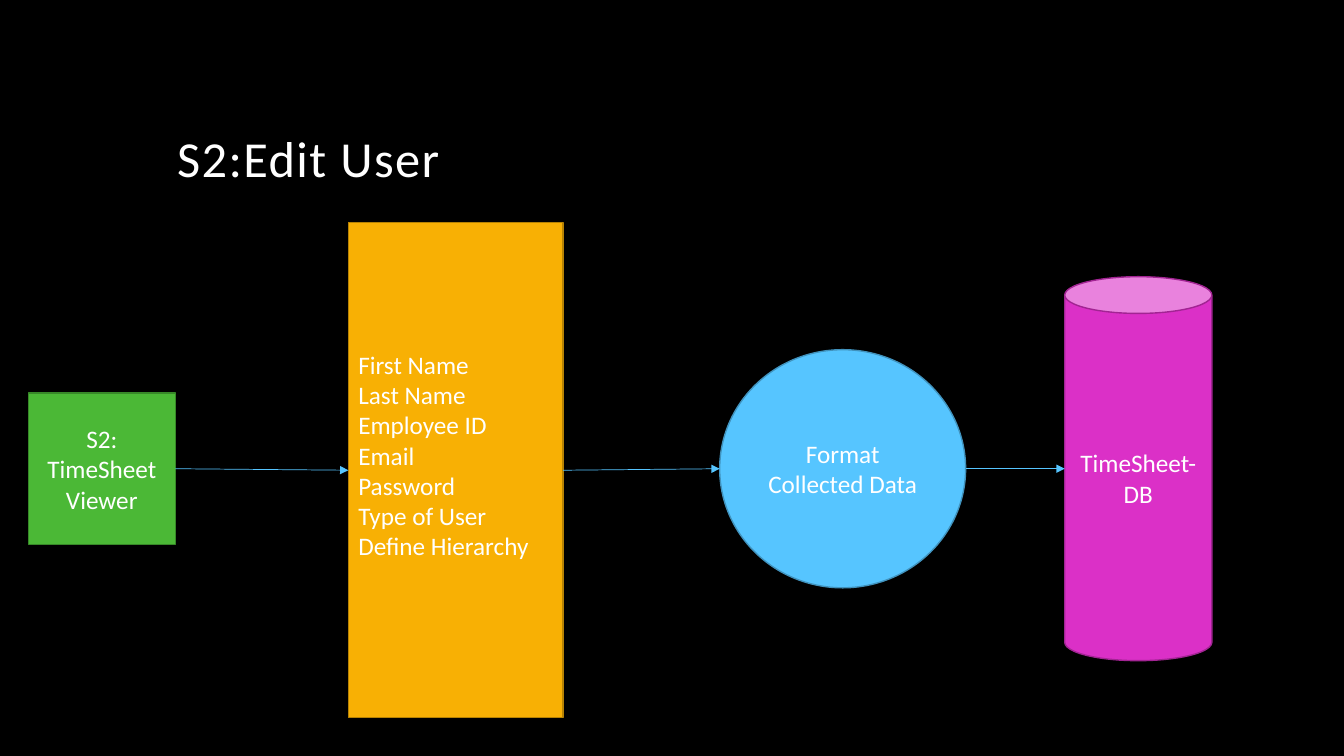
from pptx import Presentation
from pptx.dml.color import RGBColor
from pptx.enum.shapes import MSO_CONNECTOR, MSO_SHAPE
from pptx.enum.text import MSO_ANCHOR, PP_ALIGN
from pptx.oxml.ns import qn
from pptx.util import Inches, Pt
from lxml import etree

RECT, OVAL, CAN = MSO_SHAPE.RECTANGLE, MSO_SHAPE.OVAL, MSO_SHAPE.CAN
LINE = MSO_CONNECTOR.STRAIGHT
LEFT, MID = PP_ALIGN.LEFT, PP_ALIGN.CENTER
CENTER, BOTTOM = MSO_ANCHOR.MIDDLE, MSO_ANCHOR.BOTTOM
WIDE, HIGH = 13.33, 7.5
AXIS = 62


def paint(code):
    return RGBColor.from_string(code)


def across(share):
    return Inches(WIDE * share / 100)


def down(share):
    return Inches(HIGH * share / 100)


def write(frame, text, size=18, align=MID, anchor=CENTER, color="FFFFFF",
          font="Calibri", space=None, track=None, foot=0.05):
    frame.word_wrap = True
    frame.vertical_anchor = anchor
    frame.margin_bottom = Inches(foot)
    for i, words in enumerate(text.split("\n")):
        para = frame.add_paragraph() if i else frame.paragraphs[0]
        para.alignment = align
        if space:
            para.line_spacing = space
        run = para.add_run()
        run.text = words
        run.font.size = Pt(size)
        run.font.name = font
        run.font.color.rgb = paint(color)
        if track:
            run.font._element.set("spc", str(track * 100))


class Board:
    back = "000000"
    wire = "56C5FF"

    def __init__(self, deck):
        self.slide = deck.slides.add_slide(deck.slide_layouts[6])
        self.slide.background.fill.solid()
        self.slide.background.fill.fore_color.rgb = paint(self.back)

    def title(self, text, x, y, w, h):
        box = self.slide.shapes.add_textbox(across(x), down(y), across(w), down(h))
        write(box.text_frame, text, size=36, align=LEFT, anchor=BOTTOM,
              space=0.9, track=1)

    def node(self, kind, text, x, w, h, fill, edge, mid=AXIS, **style):
        shape = self.slide.shapes.add_shape(
            kind, across(x), down(mid - h / 2), across(w), down(h))
        shape.shadow.inherit = False
        shape.fill.solid()
        shape.fill.fore_color.rgb = paint(fill)
        shape.line.color.rgb = paint(edge)
        shape.line.width = Pt(1)
        write(shape.text_frame, text, **style)
        return shape

    def arrow(self, start, end):
        link = self.slide.shapes.add_connector(
            LINE, start.left + start.width, start.top + start.height // 2,
            end.left, end.top + end.height // 2)
        if start.auto_shape_type == RECT:
            link.begin_connect(start, 3)
        if end.auto_shape_type == RECT:
            link.end_connect(end, 1)
        link.line.color.rgb = paint(self.wire)
        link.line.width = Pt(0.5)
        etree.SubElement(link.line._get_or_add_ln(), qn("a:tailEnd"), type="triangle")
        etree.SubElement(link._element.spPr, qn("a:effectLst"))


def main():
    deck = Presentation()
    deck.slide_width, deck.slide_height = Inches(WIDE), Inches(HIGH)
    board = Board(deck)
    board.title("S2:Edit User", 12.45, 5.6, 75, 20)
    fields = ("First Name\nLast Name\nEmployee ID\nEmail\n"
              "Password\nType of User\nDefine Hierarchy")
    form = board.node(RECT, fields, 25.92, 15.98, 65.5, "F8B004", "B78203",
                      mid=62.2, align=LEFT, foot=0.35)
    task = board.node(OVAL, "Format Collected Data", 53.55, 18.3, 31.5,
                      "56C5FF", "4092BD")
    store = board.node(CAN, "TimeSheet-DB", 79.22, 10.95, 50.8, "DB30C7", "A22493")
    viewer = board.node(RECT, "S2: TimeSheet Viewer", 2.1, 10.95, 20,
                        "4BB836", "378828")
    flow = [viewer, form, task, store]
    for start, end in zip(flow, flow[1:]):
        board.arrow(start, end)
    deck.save("out.pptx")


if __name__ == "__main__":
    main()
